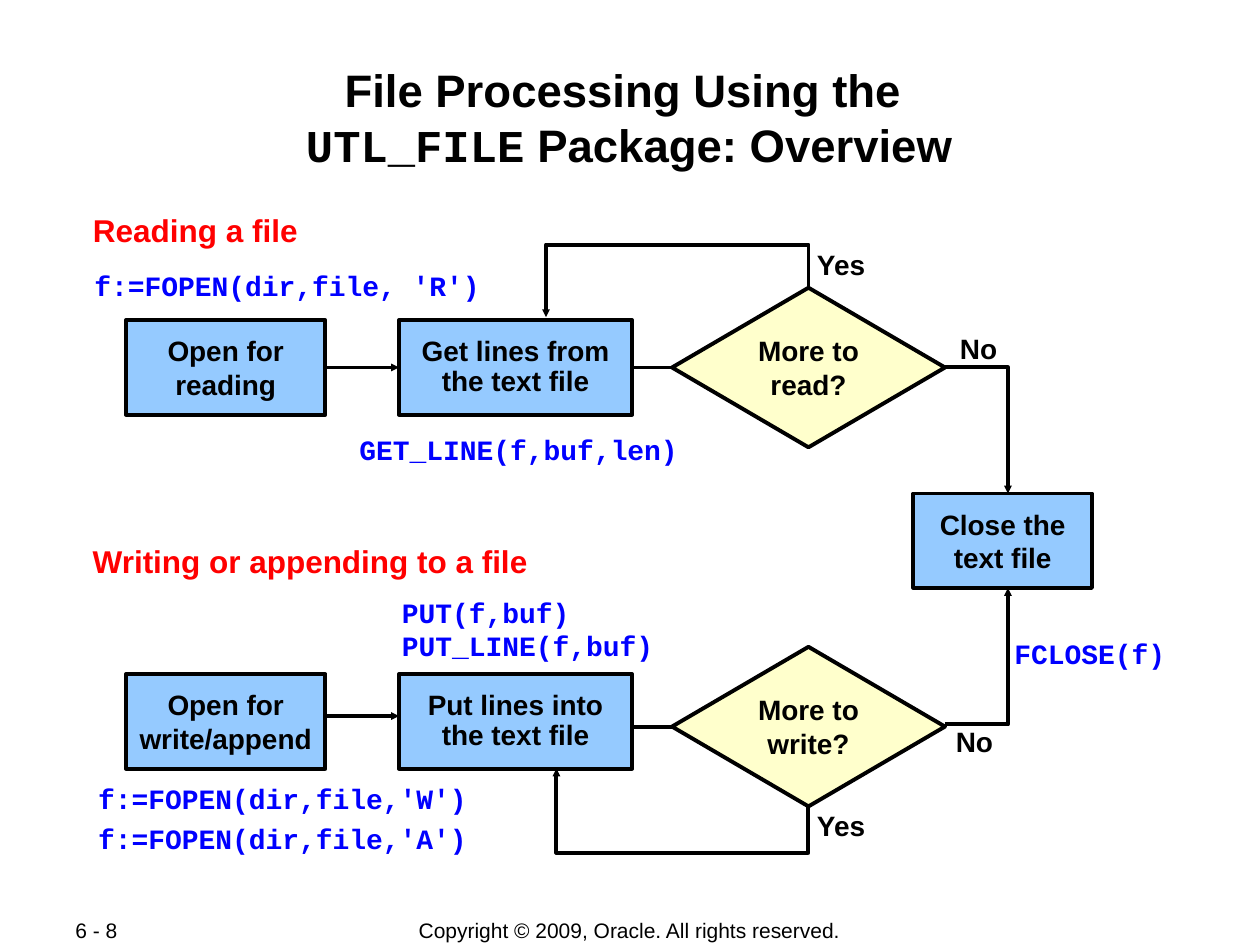
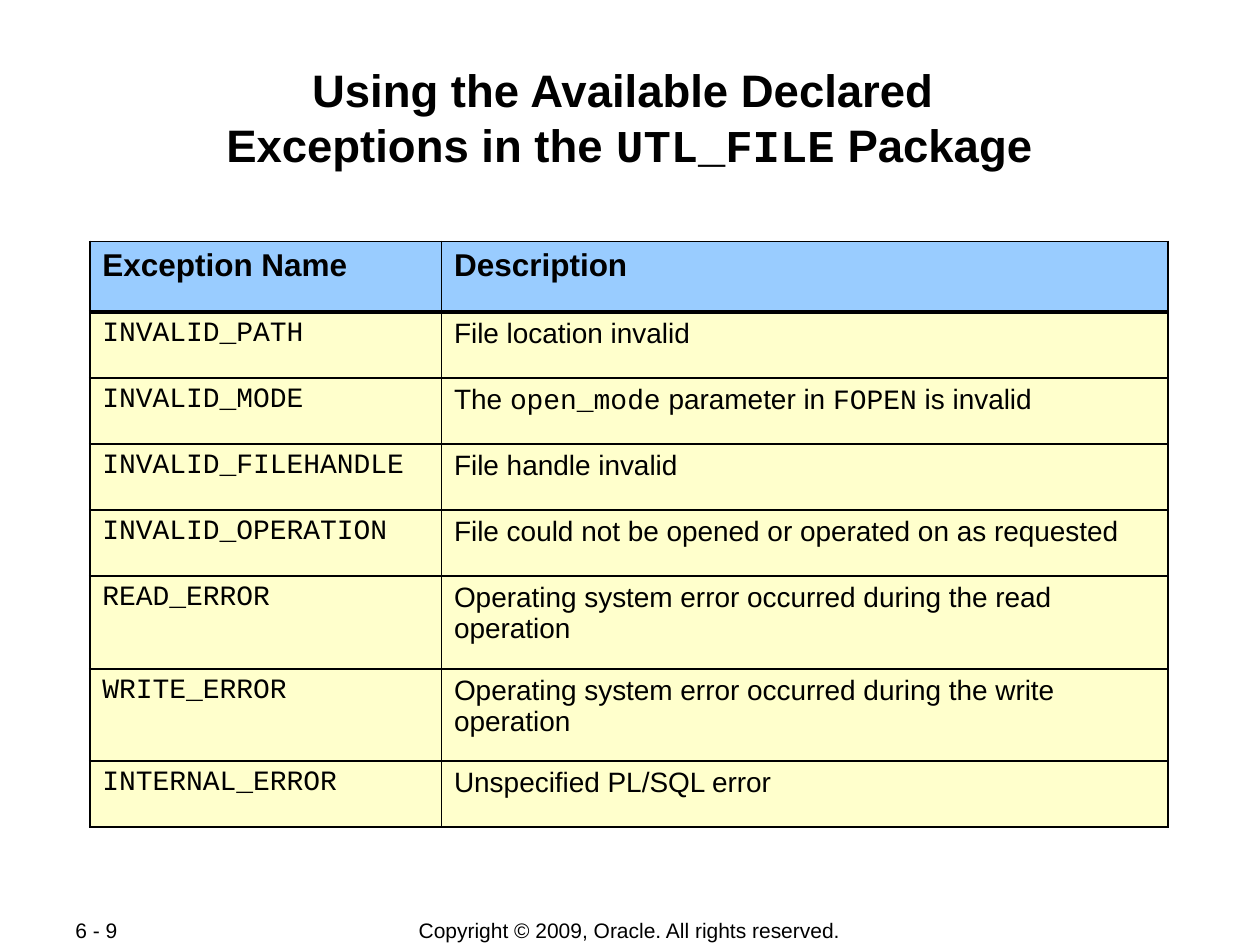
from lxml import etree
from pptx import Presentation
from pptx.dml.color import RGBColor
from pptx.enum.shapes import MSO_CONNECTOR, MSO_SHAPE
from pptx.enum.text import MSO_ANCHOR, MSO_AUTO_SIZE, PP_ALIGN
from pptx.oxml.ns import qn
from pptx.util import Inches, Pt

RECT, DIAMOND = MSO_SHAPE.RECTANGLE, MSO_SHAPE.FLOWCHART_DECISION
STRAIGHT = MSO_CONNECTOR.STRAIGHT
LEFT, CENTER = PP_ALIGN.LEFT, PP_ALIGN.CENTER
TOP, MIDDLE = MSO_ANCHOR.TOP, MSO_ANCHOR.MIDDLE
GROW, FIXED = MSO_AUTO_SIZE.SHAPE_TO_FIT_TEXT, MSO_AUTO_SIZE.NONE

BLACK = RGBColor(0x00, 0x00, 0x00)
RED = RGBColor(0xFF, 0x00, 0x00)
BLUE = RGBColor(0x00, 0x00, 0xFF)
SKY = RGBColor(0x95, 0xCA, 0xFF)
HEAD = RGBColor(0x99, 0xCC, 0xFF)
CREAM = RGBColor(0xFF, 0xFF, 0xCC)

SANS, MONO = "Arial", "Courier New"
STROKE = Pt(2.25)
THIN, THICK = Pt(1.08), Pt(2.21)

# The slide is a grid of 120 columns by 90 rows
WIDE, HIGH = Inches(10), Inches(7.5)
CELL = WIDE / 120

# Flow chart rows: top of the boxes and of the diamonds
READ, WRITE = 30.5, 64.2
READ_ASK, WRITE_ASK = 27.4, 61.6

ERRORS = [
    ("Exception Name", "Description"),
    ("`INVALID_PATH`", "File location invalid"),
    ("`INVALID_MODE`", "The `open_mode` parameter in `FOPEN` is invalid"),
    ("`INVALID_FILEHANDLE`", "File handle invalid"),
    ("`INVALID_OPERATION`",
     "File could not be opened or operated on as requested"),
    ("`READ_ERROR`",
     "Operating system error occurred during the read operation"),
    ("`WRITE_ERROR`",
     "Operating system error occurred during the write operation"),
    ("`INTERNAL_ERROR`", "Unspecified PL/SQL error"),
]
COLS = [33.5, 69.2]
ROWS = [6.7, 6.3, 6.3, 6.3, 6.3, 8.8, 8.8, 6.3]


def grid(*units):
    return [round(unit * CELL) for unit in units]


def write(par, text, size=16, color=BLACK, bold=True, align=CENTER):
    """Fill a paragraph; text between backticks is set as code."""
    par.alignment = align
    for i, part in enumerate(text.split("`")):
        for j, line in enumerate(part.split("\n")):
            if j:
                par.add_line_break()
            if line:
                run = par.add_run()
                run.text = line
                font = run.font
                font.name = MONO if i % 2 else SANS
                font.size, font.bold = Pt(size), bold
                font.color.rgb = color
    for gap in par._p.findall(qn("a:br")):
        etree.SubElement(gap, qn("a:rPr"), sz=str(size * 100))


def label(slide, spot, text, wrap=False, anchor=TOP, inset=None, **style):
    frame = slide.shapes.add_textbox(*grid(*spot)).text_frame
    frame.word_wrap, frame.vertical_anchor = wrap, anchor
    frame.auto_size = FIXED if wrap else GROW
    if inset is not None:
        frame.margin_left = frame.margin_right = inset
        frame.margin_top = frame.margin_bottom = inset
    write(frame.paragraphs[0], text, **style)
    return frame


def node(slide, kind, spot, text, fill=SKY, wrap=False, pitch=None):
    shape = slide.shapes.add_shape(kind, *grid(*spot))
    shape.shadow.inherit = False
    shape.fill.solid()
    shape.fill.fore_color.rgb = fill
    shape.line.color.rgb, shape.line.width = BLACK, STROKE
    frame = shape.text_frame
    frame.word_wrap, frame.vertical_anchor = wrap, MIDDLE
    par = frame.paragraphs[0]
    if pitch:
        par.line_spacing = pitch
    write(par, text)


def ink(shape, arrow):
    shape.line.color.rgb, shape.line.width = BLACK, STROKE
    if arrow:
        etree.SubElement(shape.line._get_or_add_ln(), qn("a:tailEnd"),
                         type="triangle", w="sm", len="sm")


def link(slide, left, right, row, arrow=False):
    line = slide.shapes.add_connector(STRAIGHT, *grid(left, row, right, row))
    ink(line, arrow)
    etree.SubElement(line._element.spPr, qn("a:effectLst"))


def bend(slide, *points):
    start, *rest = [grid(*point) for point in points]
    form = slide.shapes.build_freeform(*start)
    form.add_line_segments(rest, close=False)
    shape = form.convert_to_shape()
    shape.shadow.inherit = False
    shape.fill.background()
    ink(shape, True)


def edge(cell, side, width):
    line = etree.SubElement(cell._tc.get_or_add_tcPr(), qn("a:ln" + side),
                            w=str(int(width)))
    fill = etree.SubElement(line, qn("a:solidFill"))
    etree.SubElement(fill, qn("a:srgbClr"), val=str(BLACK))


def error_table(slide, left, top):
    spot = grid(left, top, sum(COLS), sum(ROWS))
    table = slide.shapes.add_table(len(ROWS), len(COLS), *spot).table
    table.first_row = table.horz_banding = False
    for col, width in zip(table.columns, grid(*COLS)):
        col.width = width
    for row, height in zip(table.rows, grid(*ROWS)):
        row.height = height
    for i, texts in enumerate(ERRORS):
        head = i == 0
        for j, text in enumerate(texts):
            cell = table.cell(i, j)
            edge(cell, "L", THIN)
            edge(cell, "R", THIN)
            edge(cell, "T", THICK if i == 1 else THIN)
            edge(cell, "B", THICK if head else THIN)
            cell.fill.solid()
            cell.fill.fore_color.rgb = HEAD if head else CREAM
            write(cell.text_frame.paragraphs[0], text, 18 if head else 16,
                  bold=head, align=LEFT)


def page(deck, title, number):
    """Add a slide with the shared title and footer."""
    slide = deck.slides.add_slide(deck.slide_layouts[6])
    foot = {"wrap": True, "anchor": MIDDLE, "size": 12, "bold": False}
    label(slide, (33, 87.4, 53.9, 2.4),
          "Copyright © 2009, Oracle. All rights reserved.", **foot)
    label(slide, (6, 87.4, 12.7, 2.4), number, align=LEFT, **foot)
    label(slide, (8, 5.8, 103.9, 11.5), title, wrap=True,
          inset=Inches(0.01), size=26)
    return slide


def flow(slide):
    # Boxes and decisions
    node(slide, RECT, (87, 47, 17, 9), "Close the\ntext file")
    for row, ask, first, step, query in (
            (READ, READ_ASK, "Open for\nreading",
             "Get lines from\nthe text file", "More to read?"),
            (WRITE, WRITE_ASK, "Open for\nwrite/append",
             "Put lines into\nthe text file", "More to write?")):
        node(slide, RECT, (12, row, 19, 9), first)
        node(slide, RECT, (38, row, 22.2, 9), step, pitch=0.9)
        link(slide, 60, 64, ask + 7.6)
        link(slide, 31, 38, row + (4.5 if row == READ else 4), arrow=True)
        node(slide, DIAMOND, (64, ask, 26, 15.2), query, CREAM, wrap=True)

    # Loops back and ways out
    bend(slide, (77, 27.4), (77, 23.3), (52, 23.3), (52, 30.2))
    bend(slide, (77, 76.8), (77, 81.2), (53, 81.2), (53, 73.2))
    bend(slide, (90, 35), (96, 35), (96, 47))
    bend(slide, (90, 69), (96, 69), (96, 56))

    # Answers
    for left, top, width, text in ((76.5, 23, 7.2, "Yes"),
                                   (90.2, 31, 6, "No"),
                                   (76.5, 76.4, 7.2, "Yes"),
                                   (89.8, 68.4, 6, "No")):
        label(slide, (left, top, width, 4.4), text)

    # Calls
    for spot, text in (((7.8, 25, 39.1, 4.4), "`f:=FOPEN(dir,file, 'R')`"),
                       ((33, 40.6, 32.8, 4.4), "`GET_LINE(f,buf,len)`"),
                       ((95.4, 60, 16.8, 4.4), "`FCLOSE(f)`")):
        label(slide, spot, text, color=BLUE)
    label(slide, (37.1, 56.1, 26.4, 7.7), "`PUT(f,buf)\nPUT_LINE(f,buf)`",
          color=BLUE, align=LEFT)
    modes = label(slide, (8.1, 73.8, 37.6, 8.3), "`f:=FOPEN(dir,file,'W')`",
                  color=BLUE)
    par = modes.add_paragraph()
    par.space_before = Pt(4)
    write(par, "`f:=FOPEN(dir,file,'A')`", color=BLUE)

    # Headings
    for top, width, text in ((19.5, 22, "Reading a file"),
                             (51, 43.9, "Writing or appending to a file")):
        label(slide, (7.6, top, width, 4.8), text, size=18, color=RED)


def main():
    deck = Presentation()
    deck.slide_width, deck.slide_height = WIDE, HIGH
    flow(page(deck, "File Processing Using the \n`UTL_FILE` Package: Overview",
              "6 - 8"))
    error_table(page(deck, "Using the Available Declared \n"
                     "Exceptions in the `UTL_FILE` Package", "6 - 9"),
                8.55, 23)
    deck.save("out.pptx")


if __name__ == "__main__":
    main()
